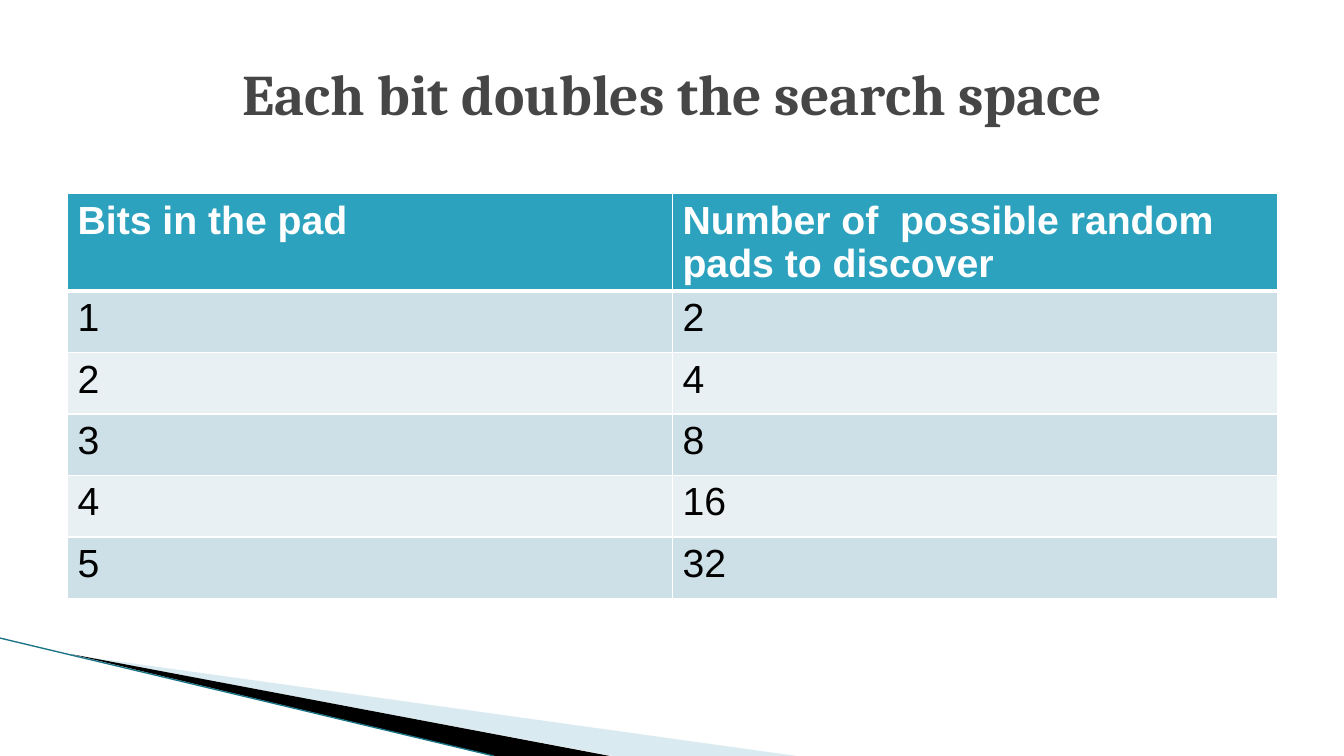
from lxml import etree
from pptx import Presentation
from pptx.dml.color import RGBColor as RGB
from pptx.enum.shapes import MSO_CONNECTOR as CONN
from pptx.enum.text import MSO_ANCHOR as ANCHOR, PP_ALIGN as ALIGN
from pptx.oxml import parse_xml
from pptx.oxml.ns import nsdecls, qn
from pptx.util import Inches, Pt

COLORS = {
    "title": "464646", "header": "2DA2BF", "odd": "CDE0E8", "even": "E8F0F4",
    "white": "FFFFFF", "black": "000000", "wedge": "A0CBDC", "edge": "1A7485",
}


def set_font(font, color, **values):
    for name, value in values.items():
        setattr(font, name, value)
    font.color.rgb = RGB.from_string(COLORS[color])


def set_border(cell, side, width):
    ln = parse_xml(
        f'<a:{side} {nsdecls("a")} w="{Pt(width)}"><a:solidFill>'
        f'<a:srgbClr val="{COLORS["white"]}"/></a:solidFill></a:{side}>')
    cell._tc.get_or_add_tcPr().append(ln)


prs = Presentation()
prs.slide_width, prs.slide_height = Inches(13.33), Inches(7.5)
s = prs.slides.add_slide(prs.slide_layouts[6])

# Corner wedges: color, opacity in percent, outline points
wedges = [
    ("wedge", 40, [(0.73, 6.5), (7.9, 7.5), (6.08, 7.5)]),
    ("black", 100, [(0.71, 6.49), (6.05, 7.5), (4.9, 7.5)]),
]
for color, opacity, points in wedges:
    start, *rest = [(Inches(x), Inches(y)) for x, y in points]
    builder = s.shapes.build_freeform(*start)
    builder.add_line_segments(rest, close=True)
    sp = builder.convert_to_shape()
    sp.shadow.inherit = False
    sp.fill.solid()
    sp.fill.fore_color.rgb = RGB.from_string(COLORS[color])
    sp.line.fill.background()
    if opacity < 100:
        clr = sp._element.spPr.find(qn("a:solidFill"))[0]
        etree.SubElement(clr, qn("a:alpha"), val=str(opacity * 1000))

# Thin edge along the wedges
edge = s.shapes.add_connector(
    CONN.STRAIGHT, Inches(0), Inches(6.33), Inches(4.9), Inches(7.5))
edge.line.color.rgb = RGB.from_string(COLORS["edge"])
edge.line.width = Pt(0.95)
etree.SubElement(edge._element.spPr, qn("a:effectLst"))

# Table: each extra bit doubles the number of pads
rows = [("Bits in the pad", "Number of  possible random pads to discover")]
rows += [(str(bits), str(2 ** bits)) for bits in range(1, 6)]
frame = s.shapes.add_table(
    len(rows), 2, Inches(0.67), Inches(1.92), Inches(12), Inches(3.66))
table = frame.table
for i, row in enumerate(rows):
    table.rows[i].height = Inches(0.61)
    is_header = i == 0
    fill = "header" if is_header else ("odd" if i % 2 else "even")
    for j, text in enumerate(row):
        cell = table.cell(i, j)
        for side in ("lnL", "lnR", "lnT", "lnB"):
            thick = (is_header and side == "lnB") or (i == 1 and side == "lnT")
            set_border(cell, side, 3 if thick else 1)
        cell.fill.solid()
        cell.fill.fore_color.rgb = RGB.from_string(COLORS[fill])
        r = cell.text_frame.paragraphs[0].add_run()
        r.text = text
        set_font(r.font, "white" if is_header else "black",
                 name="Arial", size=Pt(28), bold=is_header)

# Title
title = s.shapes.add_textbox(Inches(0.67), Inches(0.42), Inches(12), Inches(1))
tf = title.text_frame
tf.word_wrap = True
tf.vertical_anchor = ANCHOR.MIDDLE
p = tf.paragraphs[0]
p.alignment = ALIGN.CENTER
r = p.add_run()
r.text = "Each bit doubles the search space"
set_font(r.font, "title", name="Cambria", size=Pt(41), bold=True)

prs.save("out.pptx")
